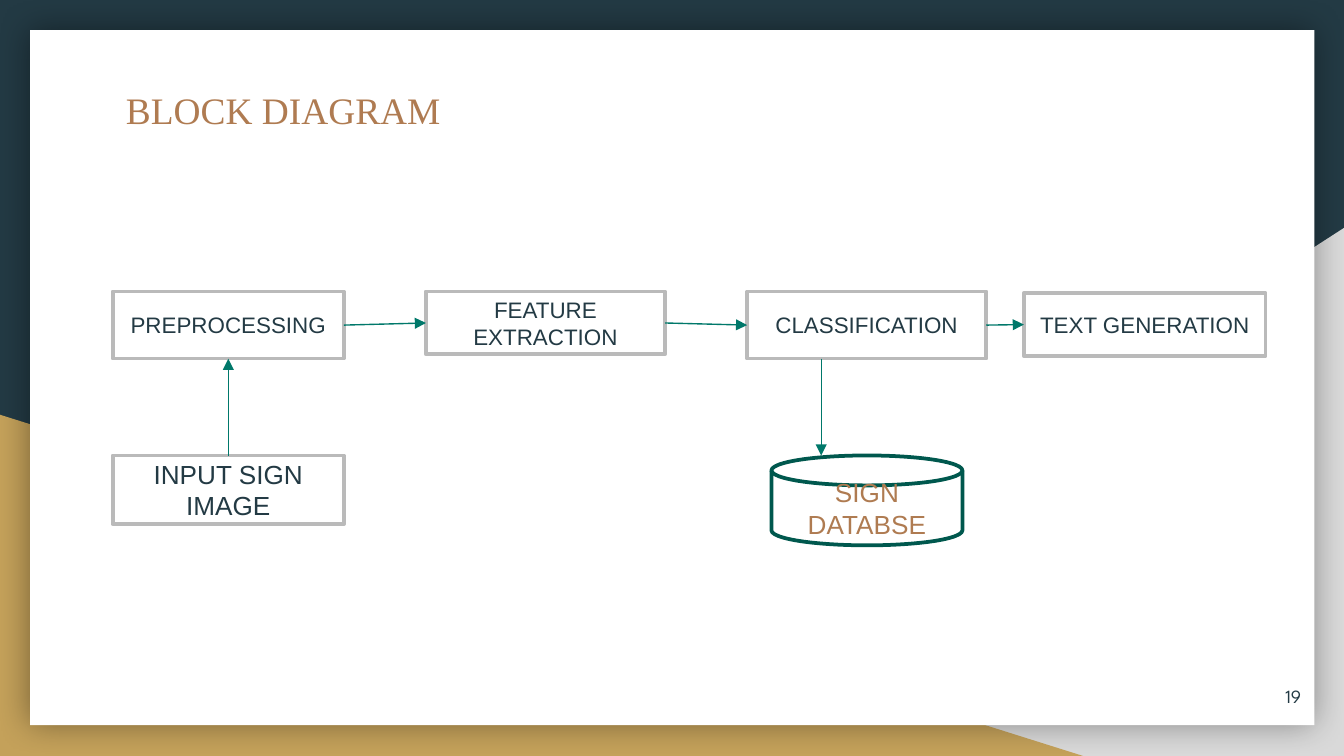
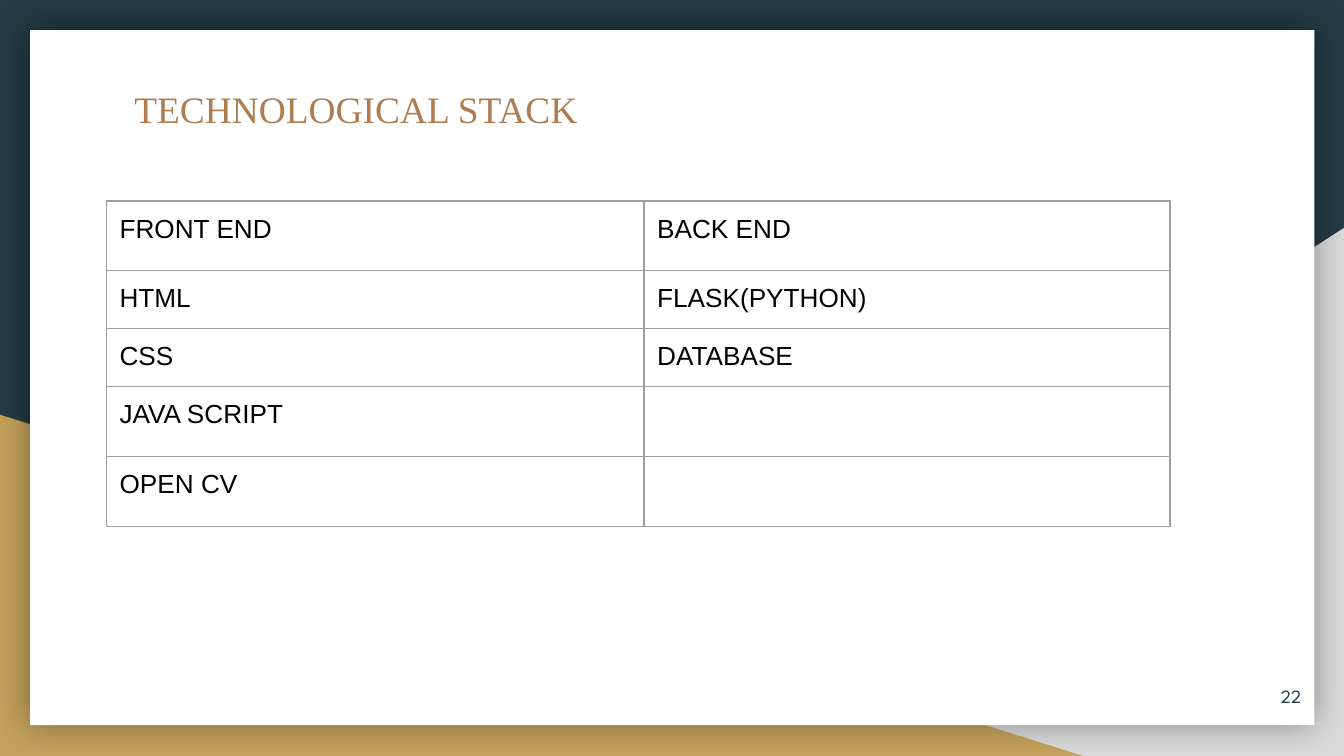
import pptx
import pptx.dml.color
import pptx.enum.shapes
import pptx.enum.text
import pptx.oxml.ns
import pptx.util
from lxml import etree

Cm = pptx.util.Cm
Pt = pptx.util.Pt
qn = pptx.oxml.ns.qn
Shape = pptx.enum.shapes.MSO_SHAPE
Align = pptx.enum.text.PP_ALIGN
Anchor = pptx.enum.text.MSO_ANCHOR

NAVY, GOLD, SILVER, WHITE = "233A44", "C4A15A", "D9D9D9", "FFFFFF"
COPPER, TEAL, DEEP_TEAL = "AF7B51", "00786A", "00584E"
BOX_LINE, GRID_LINE, BLACK = "BABABA", "9E9E9E", "000000"
TOP, LEFT, BOTTOM, RIGHT = range(4)


def color(value):
    return pptx.dml.color.RGBColor.from_string(value)


class Deck:
    body_font = "Arial"
    title_font = "Times New Roman"
    number_font = "League Spartan"
    inset = 0.25

    def __init__(self):
        self.deck = pptx.Presentation()
        self.deck.slide_width = Cm(25.4)
        self.deck.slide_height = Cm(14.29)
        self.page = None

    def add_page(self, title, title_at, number):
        self.page = self.deck.slides.add_slide(self.deck.slide_layouts[6])
        background = self.page.background.fill
        background.solid()
        background.fore_color.rgb = color(NAVY)
        corner = self.shape(Shape.RIGHT_TRIANGLE, (9.96, 4.31, 15.44, 9.98), SILVER)
        corner.element.spPr.get_or_add_xfrm().flipH = True
        self.shape(Shape.RIGHT_TRIANGLE, (0, 7.84, 20.47, 6.45), GOLD)
        self.cast_shadow(self.shape(Shape.RECTANGLE, (0.57, 0.57, 24.27, 13.14), WHITE))
        self.text_box(title_at, title, self.title_font, 20, COPPER)
        self.text_box((23.32, 12.62, 1.52, 1.09), number, self.number_font, 10, NAVY,
                      Align.RIGHT, Anchor.MIDDLE)

    def shape(self, kind, at, fill=None, line=None):
        shape = self.page.shapes.add_shape(kind, *map(Cm, at))
        shape.shadow.inherit = False
        if fill:
            shape.fill.solid()
            shape.fill.fore_color.rgb = color(fill)
        else:
            shape.fill.background()
        if line:
            shape.line.color.rgb = color(line)
            shape.line.width = Pt(2)
        else:
            shape.line.fill.background()
        return shape

    def cast_shadow(self, shape):
        effects = shape.element.spPr.find(qn("a:effectLst"))
        shadow = etree.SubElement(effects, qn("a:outerShdw"), blurRad=str(Pt(18)),
                                  dist="0", dir="0", algn="ctr", rotWithShape="0")
        tint = etree.SubElement(shadow, qn("a:srgbClr"), val=BLACK)
        etree.SubElement(tint, qn("a:alpha"), val="40000")

    def add_text(self, frame, text, font, size, ink, align=Align.LEFT):
        para = frame.paragraphs[0]
        para.alignment = align
        para.font.size = Pt(size)
        if text:
            span = para.add_run()
            span.text = text
            span.font.name = font
            span.font.size = Pt(size)
            span.font.color.rgb = color(ink)

    def fit(self, frame, anchor, side, end):
        frame.word_wrap = True
        frame.vertical_anchor = anchor
        frame.margin_left = frame.margin_right = Cm(side)
        frame.margin_top = frame.margin_bottom = Cm(end)

    def text_box(self, at, text, font, size, ink, align=Align.LEFT, anchor=Anchor.TOP):
        frame = self.page.shapes.add_textbox(*map(Cm, at)).text_frame
        self.fit(frame, anchor, self.inset, self.inset)
        self.add_text(frame, text, font, size, ink, align)

    def block(self, text, at, size=12, kind=Shape.RECTANGLE, fill=WHITE,
              line=BOX_LINE, ink=NAVY):
        box = self.shape(kind, at, fill, line)
        self.fit(box.text_frame, Anchor.MIDDLE, self.inset, 0.13)
        self.add_text(box.text_frame, text, self.body_font, size, ink, Align.CENTER)
        return box

    def arrow(self, start=(0, 0), end=(0, 0)):
        arrow = self.page.shapes.add_connector(
            pptx.enum.shapes.MSO_CONNECTOR.STRAIGHT, *map(Cm, (*start, *end)))
        arrow.line.color.rgb = color(TEAL)
        arrow.line.width = Pt(0.75)
        outline = arrow.element.spPr.find(qn("a:ln"))
        etree.SubElement(outline, qn("a:tailEnd"), type="triangle")
        etree.SubElement(arrow.element.spPr, qn("a:effectLst"))
        return arrow

    def link(self, source, source_side, target, target_side):
        arrow = self.arrow()
        arrow.begin_connect(source, source_side)
        arrow.end_connect(target, target_side)

    def border(self, cell):
        properties = cell._tc.get_or_add_tcPr()
        for side in ("lnL", "lnR", "lnT", "lnB"):
            line = etree.SubElement(properties, qn(f"a:{side}"), w=str(Pt(0.75)))
            fill = etree.SubElement(line, qn("a:solidFill"))
            etree.SubElement(fill, qn("a:srgbClr"), val=GRID_LINE)

    def table(self, left, top, widths, heights, rows):
        table = self.page.shapes.add_table(
            len(heights), len(widths), Cm(left), Cm(top),
            Cm(sum(widths)), Cm(sum(heights))).table
        table.first_row = table.horz_banding = False
        for column, width in zip(table.columns, widths):
            column.width = Cm(width)
        for row, height, texts in zip(table.rows, heights, rows):
            row.height = Cm(height)
            for cell, text in zip(row.cells, texts):
                self.border(cell)
                cell.fill.background()
                cell.margin_left = cell.margin_right = Cm(self.inset)
                cell.margin_top = cell.margin_bottom = Cm(self.inset)
                self.add_text(cell.text_frame, text, self.body_font, 14, BLACK)


def block_diagram(deck):
    deck.add_page("BLOCK DIAGRAM", (2.13, 1.4, 20.85, 2.64), "19")
    preprocessing = deck.block("PREPROCESSING", (2.13, 5.51, 4.37, 1.27))
    extraction = deck.block("FEATURE EXTRACTION", (8.05, 5.51, 4.52, 1.19))
    classification = deck.block("CLASSIFICATION", (14.12, 5.51, 4.52, 1.27))
    generation = deck.block("TEXT GENERATION", (19.35, 5.54, 4.57, 1.19))
    sign_image = deck.block("INPUT SIGN IMAGE", (2.13, 8.61, 4.37, 1.3), 14)
    deck.block("SIGN DATABSE", (14.58, 8.61, 3.61, 1.7), 14,
               Shape.FLOWCHART_MAGNETIC_DISK, None, DEEP_TEAL, COPPER)
    deck.link(sign_image, TOP, preprocessing, BOTTOM)
    stages = [preprocessing, extraction, classification, generation]
    for source, target in zip(stages, stages[1:]):
        deck.link(source, RIGHT, target, LEFT)
    deck.arrow((15.52, 6.78), (15.52, 8.61))


def technological_stack(deck):
    deck.add_page("TECHNOLOGICAL STACK", (2.29, 1.37, 20.85, 2.03), "22")
    deck.table(2.01, 3.8, [10.16, 9.94], [1.32, 1.06, 1.06, 1.32, 1.32], [
        ("FRONT END", "BACK END"),
        ("HTML", "FLASK(PYTHON)"),
        ("CSS", "DATABASE"),
        ("JAVA SCRIPT", ""),
        ("OPEN CV", ""),
    ])


def main():
    deck = Deck()
    block_diagram(deck)
    technological_stack(deck)
    deck.deck.save("out.pptx")


if __name__ == "__main__":
    main()
